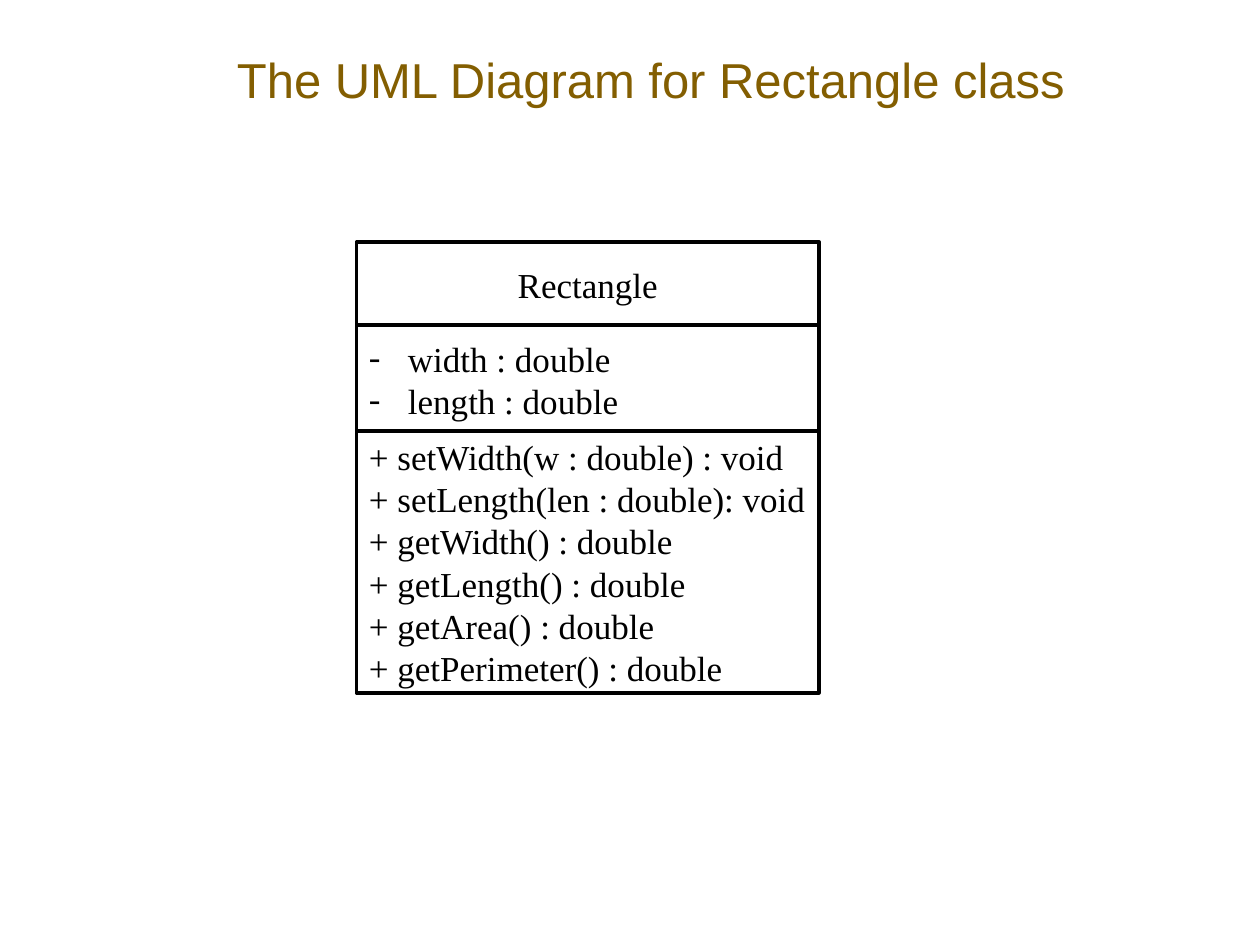
"""Build a slide with the UML diagram of a Rectangle class."""
from dataclasses import dataclass

from lxml import etree
from pptx import Presentation
from pptx.dml.color import RGBColor
from pptx.enum.shapes import MSO_SHAPE
from pptx.enum.text import MSO_ANCHOR, PP_ALIGN
from pptx.oxml.ns import qn
from pptx.slide import Slide
from pptx.util import Inches, Pt

RECT = MSO_SHAPE.RECTANGLE
MIDDLE = MSO_ANCHOR.MIDDLE
LEFT, CENTER = PP_ALIGN.LEFT, PP_ALIGN.CENTER
BLACK = RGBColor(0x00, 0x00, 0x00)
WHITE = RGBColor(0xFF, 0xFF, 0xFF)
BROWN = RGBColor(0x83, 0x5E, 0x01)
SERIF, SANS = "Times New Roman", "Arial"
EDGE, WIDTH = 2.83, 3.67
INDENT = 0.31


@dataclass
class Part:
    top: float
    height: float
    lines: tuple[str, ...]
    align: PP_ALIGN = LEFT
    dashed: bool = False


PARTS = (
    Part(1.92, 0.67, ("Rectangle",), CENTER),
    Part(2.58, 0.86, ("width : double", "length : double"), dashed=True),
    Part(3.42, 2.08, (
        "+ setWidth(w : double) : void",
        "+ setLength(len : double): void",
        "+ getWidth() : double",
        "+ getLength() : double",
        "+ getArea() : double",
        "+ getPerimeter() : double",
    )),
)


def add_text(para, text: str, font: str, size: int, color: RGBColor) -> None:
    run = para.add_run()
    run.text = text
    run.font.name = font
    run.font.size = Pt(size)
    run.font.color.rgb = color


def add_dash(para) -> None:
    props = para._p.get_or_add_pPr()
    props.set("marL", str(Inches(INDENT)))
    props.set("indent", str(-Inches(INDENT)))
    etree.SubElement(props, qn("a:buFont"), typeface=SERIF)
    etree.SubElement(props, qn("a:buChar"), char="-")


def add_title(slide: Slide, text: str) -> None:
    title = slide.shapes.title
    title.left, title.top = Inches(1.5), Inches(0.24)
    title.width, title.height = Inches(7.33), Inches(0.78)
    frame = title.text_frame
    frame.vertical_anchor = MIDDLE
    para = frame.paragraphs[0]
    para.alignment = CENTER
    add_text(para, text, SANS, 28, BROWN)


def add_part(slide: Slide, part: Part) -> None:
    box = slide.shapes.add_shape(RECT, Inches(EDGE), Inches(part.top),
                                 Inches(WIDTH), Inches(part.height))
    box.shadow.inherit = False
    box.fill.solid()
    box.fill.fore_color.rgb = WHITE
    box.line.color.rgb = BLACK
    box.line.width = Pt(2)
    frame = box.text_frame
    frame.word_wrap = True
    frame.vertical_anchor = MIDDLE
    if part.align == LEFT:
        frame.margin_right = 0
    for i, line in enumerate(part.lines):
        para = frame.add_paragraph() if i else frame.paragraphs[0]
        para.alignment = part.align
        if part.dashed:
            add_dash(para)
        add_text(para, line, SERIF, 20, BLACK)


def main() -> None:
    deck = Presentation()
    deck.slide_width, deck.slide_height = Inches(10), Inches(7.5)
    slide = deck.slides.add_slide(deck.slide_layouts[5])
    add_title(slide, "The UML Diagram for Rectangle class")
    for part in PARTS:
        add_part(slide, part)
    deck.save("out.pptx")


if __name__ == "__main__":
    main()
